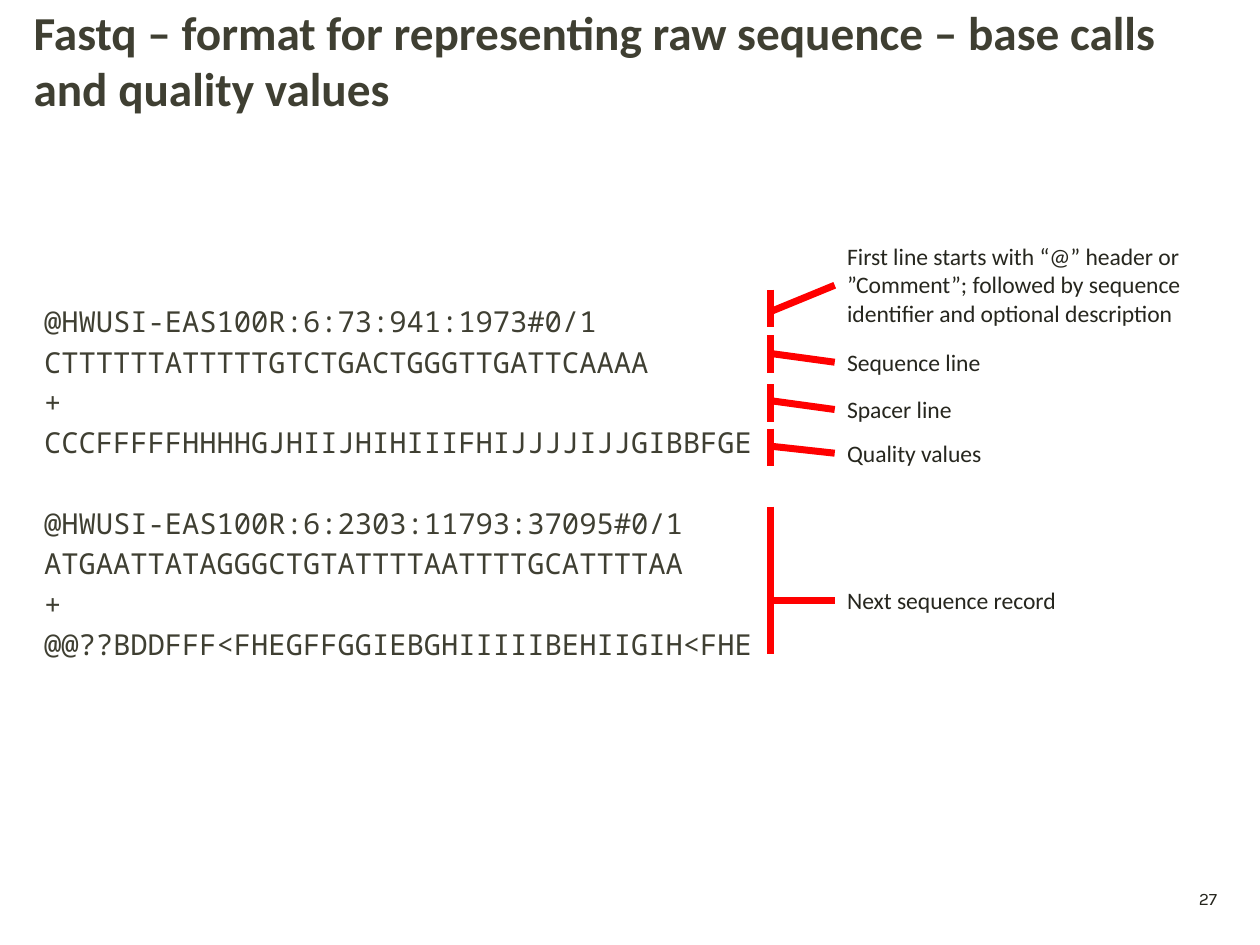
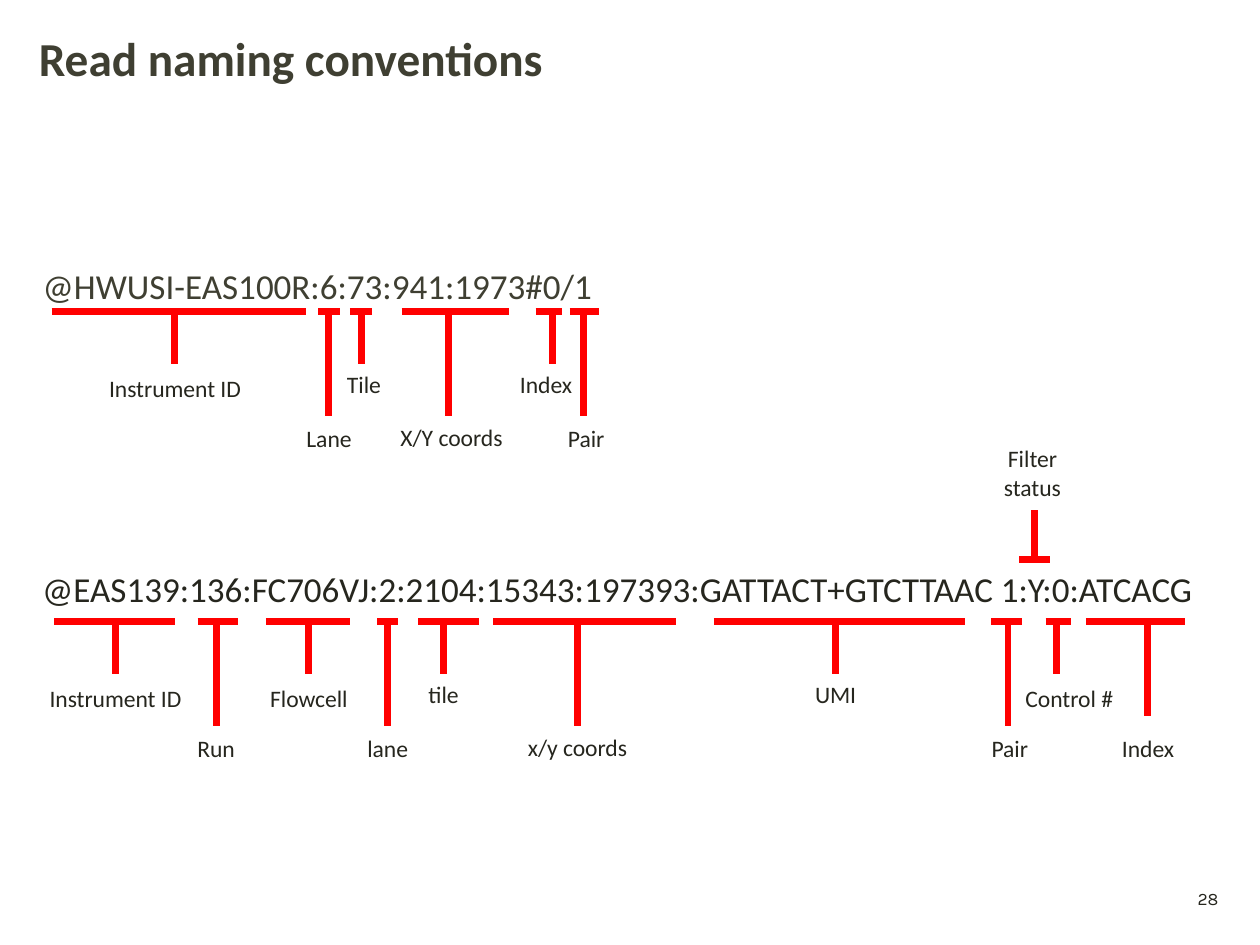
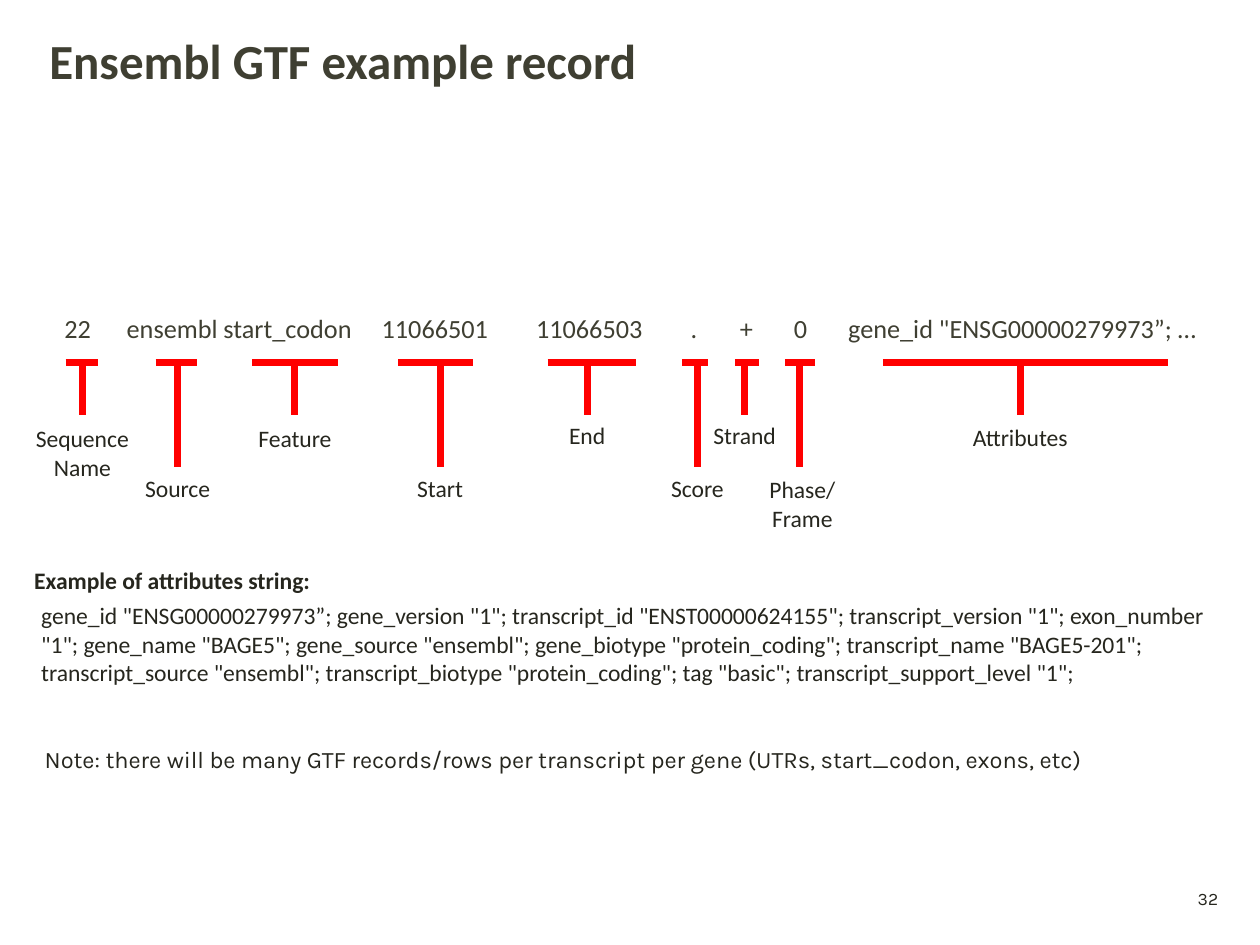
from typing import NamedTuple

from lxml.etree import SubElement
from pptx import Presentation
from pptx.dml.color import RGBColor
from pptx.enum.shapes import MSO_CONNECTOR
from pptx.enum.text import MSO_ANCHOR, MSO_AUTO_SIZE, PP_ALIGN
from pptx.oxml.ns import qn
from pptx.util import Pt

OLIVE = RGBColor(0x3F, 0x3F, 0x32)
INK = RGBColor(0x26, 0x26, 0x1E)
RED = RGBColor(0xFF, 0x00, 0x00)
SANS, NUMBER_FONT, MONO = "Calibri", "Karla", "Noto Sans Mono"
LABEL_SIZE = 13.5
LINE_HEIGHT, LABEL_PAD = 16.5, 7.2
SHORT, LONG = 30, 60


class Mark(NamedTuple):
    """A bar under one field, its stem and its label; x values start at the record's left."""
    text: str
    left: float
    right: float
    stem: float
    depth: float
    width: float
    gap: float = 0
    shift: float = 0
    lines: int = 1


FASTQ = [
    "@HWUSI-EAS100R:6:73:941:1973#0/1",
    "CTTTTTTATTTTTGTCTGACTGGGTTGATTCAAAA",
    "+",
    "CCCFFFFFHHHHGJHIIJHIHIIIFHIJJJJIJJGIBBFGE",
    "@HWUSI-EAS100R:6:2303:11793:37095#0/1",
    "ATGAATTATAGGGCTGTATTTTAATTTTGCATTTTAA",
    "+",
    "@@??BDDFFF<FHEGFFGGIEBGHIIIIIBEHIIGIH<FHE",
]
LINES_PER_RECORD = 4

# label, lines, bracket top, bracket bottom, tick start, label middle
CALLOUTS = [
    ("First line starts with “@” header or ”Comment”; followed by sequence "
     "identifier and optional description", 3, 30.5, 52, 43, 28),
    ("Sequence line", 1, 56.5, 78, 67, 72),
    ("Spacer line", 1, 84.5, 106, 94, 99),
    ("Quality values", 1, 110, 131.5, 120, 124),
    ("Next sequence record", 1, 154.5, 238.5, 208, 208),
]

OLD_NAME_MARKS = [
    Mark("Instrument ID", 24.5, 170, 95, SHORT, 91, gap=2),
    Mark("Lane", 177, 189.5, 183, LONG, 41, gap=1),
    Mark("Tile", 195, 207.5, 201.5, SHORT, 35, shift=1.5),
    Mark("X/Y coords", 224.5, 286, 251.5, LONG, 74, shift=1.5),
    Mark("Index", 301, 316, 310.5, SHORT, 48, shift=-3.5),
    Mark("Pair", 320.5, 337, 328.5, LONG, 44, gap=1, shift=1.5),
]
NEW_NAME_MARKS = [
    Mark("Instrument ID", 23, 92, 58, SHORT, 91, gap=2),
    Mark("Run", 105, 128, 115.5, LONG, 41, gap=1),
    Mark("Flowcell", 144, 192, 168.5, SHORT, 62, gap=2),
    Mark("lane", 207.5, 219.5, 213.5, LONG, 38, gap=1),
    Mark("tile", 231, 265.5, 245.5, SHORT, 32),
    Mark("x/y coords", 274, 378.5, 322, LONG, 72),
    Mark("UMI", 400, 543.5, 469.5, SHORT, 38),
    Mark("Pair", 558.5, 576, 568, LONG, 38, gap=1, shift=1),
    Mark("Control #", 589.5, 604, 596, SHORT, 66, gap=2, shift=7),
    Mark("Index", 612.5, 669, 648, 54, 48, gap=7),
]
FILTER_MARK = Mark("Filter status", 574.5, 592, 583, -28, 70, gap=1, shift=-1, lines=2)
GTF_MARKS = [
    Mark("Sequence Name", 16.5, 35, 26, SHORT, 71, gap=2, lines=2),
    Mark("Source", 68, 91.5, 80.5, LONG, 60),
    Mark("Feature", 123, 172, 147.5, SHORT, 62, gap=2),
    Mark("Start", 206.5, 249.5, 230.5, LONG, 41),
    Mark("End", 292, 342.5, 314.5, SHORT, 35),
    Mark("Score", 369, 383.5, 377.5, LONG, 45),
    Mark("Strand", 399, 412.5, 404.5, SHORT, 54),
    Mark("Phase/Frame", 427.5, 445, 436, LONG, 55, gap=1, shift=1.5, lines=2),
    Mark("Attributes", 483.5, 646.5, 562, SHORT, 87, gap=1),
]
# field, extra width of the space before it
GTF_FIELDS = [
    ("ensembl", 17), ("start_codon", 0), ("11066501", 13.7), ("11066503", 24), (".", 24),
    ("+", 21), ("0", 20), ('gene_id "ENSG00000279973”; …', 20),
]
ATTRIBUTES = (
    'gene_id "ENSG00000279973”; gene_version "1"; transcript_id "ENST00000624155"; '
    'transcript_version "1"; exon_number "1"; gene_name "BAGE5"; gene_source "ensembl"; '
    'gene_biotype "protein_coding"; transcript_name "BAGE5-201"; transcript_source "ensembl"; '
    'transcript_biotype "protein_coding"; tag "basic"; transcript_support_level "1";'
)


def add_run(p, text, size, color, font=SANS, bold=False):
    r = p.add_run()
    r.text = text
    r.font.size, r.font.name, r.font.bold = Pt(size), font, bold
    r.font.color.rgb = color
    return r


def place(sp, box):
    sp.left, sp.top, sp.width, sp.height = (Pt(v) for v in box)


def add_text(slide, box, text, size=LABEL_SIZE, color=INK, font=SANS, bold=False,
             align=PP_ALIGN.LEFT, wrap=True):
    sp = slide.shapes.add_textbox(*(Pt(v) for v in box))
    tf = sp.text_frame
    tf.word_wrap = wrap
    p = tf.paragraphs[0]
    p.alignment = align
    add_run(p, text, size, color, font, bold)
    return sp


def add_line(slide, x1, y1, x2, y2):
    line = slide.shapes.add_connector(MSO_CONNECTOR.STRAIGHT, Pt(x1), Pt(y1), Pt(x2), Pt(y2))
    line.line.color.rgb = RED
    line.line.width = Pt(4)
    SubElement(line._element.spPr, qn("a:effectLst"))
    return line


def label_height(lines):
    return lines * LINE_HEIGHT + LABEL_PAD


def new_slide(prs, number, title, box, size=27):
    """Add a slide with its title and page number."""
    slide = prs.slides.add_slide(prs.slide_layouts[1])
    sp = slide.shapes.title
    place(sp, box)
    tf = sp.text_frame
    tf.auto_size, tf.vertical_anchor = MSO_AUTO_SIZE.NONE, MSO_ANCHOR.MIDDLE
    p = tf.paragraphs[0]
    p.alignment = PP_ALIGN.LEFT
    add_run(p, title, size, OLIVE, bold=True)
    page = add_text(slide, (677, 503.5, 26.5, 19.5), str(number), 10, font=NUMBER_FONT,
                    align=PP_ALIGN.CENTER, wrap=False)
    page.text_frame.vertical_anchor = MSO_ANCHOR.MIDDLE
    return slide


def fill_body(slide, box, lines, size, font=SANS, align=PP_ALIGN.LEFT):
    """Fill the body placeholder with unbulleted lines and return its text frame."""
    sp = slide.placeholders[1]
    place(sp, box)
    tf = sp.text_frame
    tf.auto_size = MSO_AUTO_SIZE.NONE
    for i, text in enumerate(lines):
        p = tf.add_paragraph() if i else tf.paragraphs[0]
        pPr = p._p.get_or_add_pPr()
        pPr.set("marL", "0")
        pPr.set("indent", "0")
        SubElement(pPr, qn("a:buNone"))
        p.alignment, p.space_before = align, Pt(0)
        add_run(p, text, size, OLIVE, font)
    return tf


def add_marks(slide, left, top, marks):
    """Draw bars at height top, with stems and labels below (above if the depth is negative)."""
    for m in marks:
        x, end = left + m.stem, top + m.depth
        height = label_height(m.lines)
        label_top = end + m.gap if m.depth > 0 else end - m.gap - height
        add_line(slide, left + m.left, top, left + m.right, top)
        stem = add_line(slide, x, top, x, end)
        label = add_text(slide, (x + m.shift - m.width / 2, label_top, m.width, height), m.text,
                         align=PP_ALIGN.CENTER, wrap=m.lines > 1)
        if not m.gap and not m.shift:
            stem.end_connect(label, 0)


def add_callouts(slide, left, top):
    """Draw brackets at left, each joined by a tick to its label."""
    for text, lines, start, end, tick_y, middle in CALLOUTS:
        height = label_height(lines)
        label = add_text(slide, (left + 36.5, top + middle - height / 2, 225, height), text)
        add_line(slide, left, top + start, left, top + end)
        tick = add_line(slide, left + 36.5, top + middle, left, top + tick_y)
        tick.begin_connect(label, 1)


def fastq_slide(prs):
    slide = new_slide(prs, 27, "Fastq – format for representing raw sequence – base calls "
                      "and quality values", (12, 6, 690, 56))
    tf = fill_body(slide, (18, 170, 474, 284), FASTQ, 16.5, MONO)
    for i, p in enumerate(tf.paragraphs):
        if i:
            p.space_before = Pt(3.3 if i % LINES_PER_RECORD else 26.4)
    add_callouts(slide, 440.5, 135)


def read_names_slide(prs):
    slide = new_slide(prs, 28, "Read naming conventions", (15, 5, 690, 56))
    fill_body(slide, (5, 147.5, 353, 52), ["@HWUSI-EAS100R:6:73:941:1973#0/1"], 20,
              align=PP_ALIGN.CENTER)
    new_name = add_text(slide, (8, 323.5, 690, 52),
                        "@EAS139:136:FC706VJ:2:2104:15343:197393:GATTACT+GTCTTAAC 1:Y:0:ATCACG",
                        20, align=PP_ALIGN.CENTER)
    new_name.text_frame.paragraphs[0].line_spacing = 0.9
    add_marks(slide, 5, 178, OLD_NAME_MARKS)
    add_marks(slide, 8, 355, NEW_NAME_MARKS)
    add_marks(slide, 8, 319.5, [FILTER_MARK])


def gtf_slide(prs):
    slide = new_slide(prs, 32, "Ensembl GTF example record", (21, -5, 681, 78.5), 28)
    tf = fill_body(slide, (21, 175, 681, 32), ["22"], 15)
    tf.margin_left = Pt(15.8)
    p = tf.paragraphs[0]
    for field, extra in GTF_FIELDS:
        space = add_run(p, " ", 15, OLIVE)
        space.font._element.set("spc", str(round(extra * 100)))
        add_run(p, field, 15, OLIVE)
    add_marks(slide, 21, 207, GTF_MARKS)
    add_text(slide, (16.5, 340, 681, 73), ATTRIBUTES)
    add_text(slide, (12.5, 320, 177, 24), "Example of attributes string:", bold=True, wrap=False)
    add_text(slide, (18.5, 422, 626.5, 24), "Note: there will be many GTF records/rows per "
             "transcript per gene (UTRs, start_codon, exons, etc)", font=NUMBER_FONT, wrap=False)


def main():
    prs = Presentation()
    prs.slide_width, prs.slide_height = Pt(720), Pt(540)
    fastq_slide(prs)
    read_names_slide(prs)
    gtf_slide(prs)
    prs.save("out.pptx")


if __name__ == "__main__":
    main()
